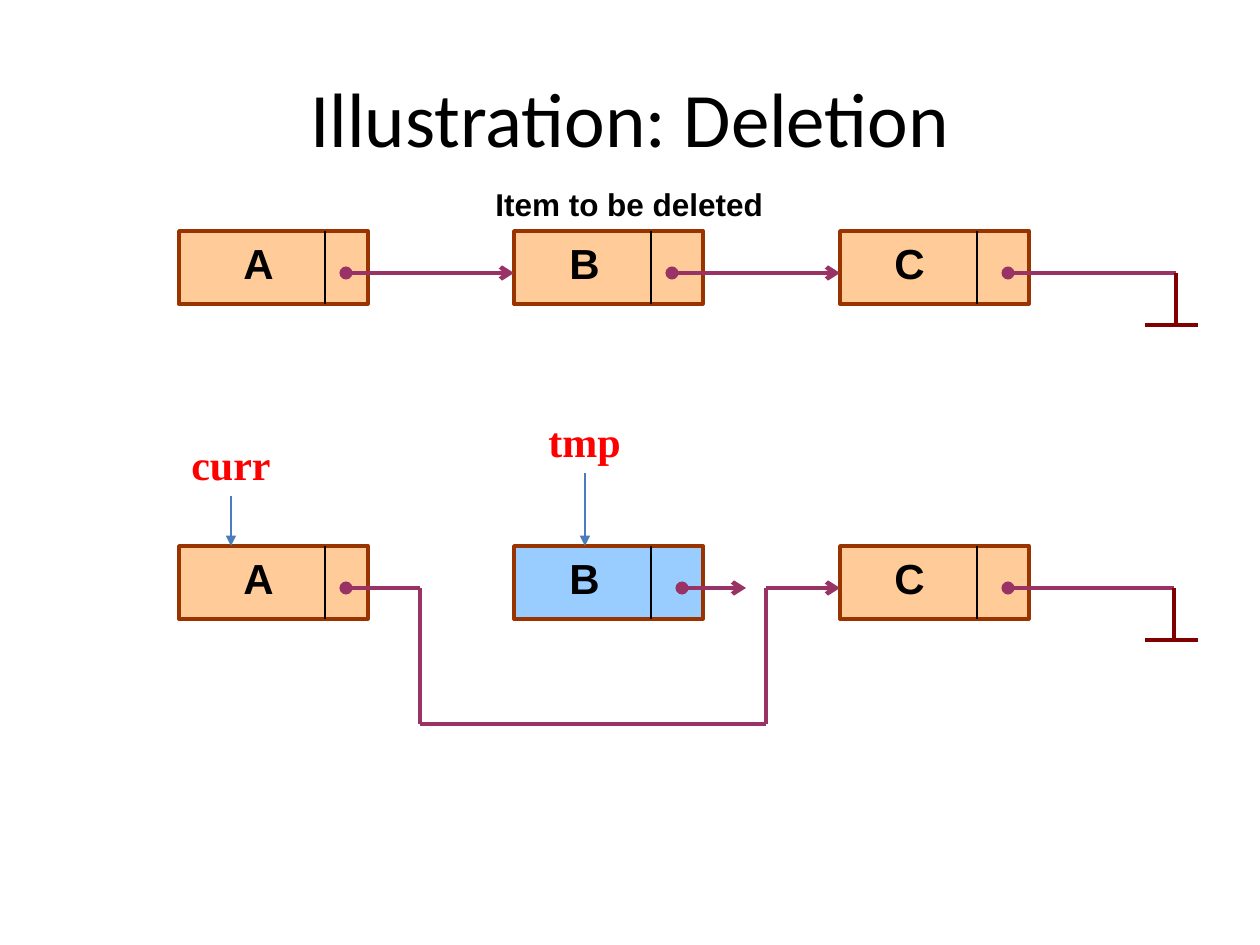
"""Build a slide that shows a node being deleted from a linked list."""
from lxml import etree
from pptx import Presentation
from pptx.dml.color import RGBColor
from pptx.enum.shapes import MSO_CONNECTOR, MSO_SHAPE
from pptx.enum.text import MSO_ANCHOR, PP_ALIGN
from pptx.oxml.ns import qn
from pptx.util import Pt

RECT = MSO_SHAPE.RECTANGLE
STRAIGHT = MSO_CONNECTOR.STRAIGHT
CENTER = PP_ALIGN.CENTER
MIDDLE = MSO_ANCHOR.MIDDLE
PX = 914400 / 126
COLORS = {
    "black": "000000", "red": "FF0000", "peach": "FFCC99", "sky": "99CCFF",
    "brown": "993300", "plum": "993366", "maroon": "800000", "blue": "4A7EBB",
}

deck = Presentation()
deck.slide_width, deck.slide_height = int(1260 * PX), int(945 * PX)
slide = deck.slides.add_slide(deck.slide_layouts[5])
shapes = slide.shapes


def write(text, x, y, w, h, size=24, font="Arial", color="black", bold=True, wrap=True, box=None, align=None):
    box = box or shapes.add_textbox(0, 0, 0, 0)
    box.left, box.top, box.width, box.height = [int(v * PX) for v in (x, y, w, h)]
    frame = box.text_frame
    frame.word_wrap = wrap
    frame.text = text
    para = frame.paragraphs[0]
    para.alignment = align
    face = para.runs[0].font
    face.size, face.name, face.bold = Pt(size), font, bold
    face.color.rgb = RGBColor.from_string(COLORS[color])
    return frame


def draw(x1, y1, x2, y2, color="plum", width=2.5, head=None, tail=None):
    line = shapes.add_connector(STRAIGHT, *[int(v * PX) for v in (x1, y1, x2, y2)])
    line.line.width = Pt(width)
    line.line.color.rgb = RGBColor.from_string(COLORS[color])
    for tag, kind in (("a:headEnd", head), ("a:tailEnd", tail)):
        if kind:
            etree.SubElement(line.line._ln, qn(tag), type=kind)
    etree.SubElement(line._element.spPr, qn("a:effectLst"))


title = write("Illustration: Deletion", 63, 38, 1134, 157, size=44, font="Calibri",
              bold=False, box=shapes.title, align=CENTER)
title.vertical_anchor = MIDDLE

NODES = [("A", 179, 325, 231), ("B", 514, 651, 557), ("C", 840, 977, 882)]
ROWS = [(231, "peach", 1176), (546, "sky", 1174)]
for top, fill, end in ROWS:
    for name, left, bar, label in NODES:
        node = shapes.add_shape(RECT, *[int(v * PX) for v in (left, top, 189, 73)])
        node.shadow.inherit = False
        node.fill.solid()
        node.fill.fore_color.rgb = RGBColor.from_string(COLORS[fill if name == "B" else "peach"])
        node.line.width = Pt(2)
        node.line.color.rgb = RGBColor.from_string(COLORS["brown"])
        draw(bar, top, bar, top + 73, color="black", width=0.75)
        write(name, label, top, 84, 63)
    mid = top + 42
    draw(1008, mid, end, mid, head="oval")
    draw(end, mid, end, top + 94, color="maroon")
    draw(1145, top + 94, 1198, top + 94, color="maroon")

draw(346, 273, 514, 273, head="oval", tail="arrow")
draw(672, 273, 840, 273, head="oval", tail="arrow")
draw(682, 588, 746, 588, head="oval", tail="arrow")

BYPASS = [(346, 588), (420, 588), (420, 724), (766, 724), (766, 588), (840, 588)]
last = len(BYPASS) - 2
for i, (start, stop) in enumerate(zip(BYPASS, BYPASS[1:])):
    draw(*start, *stop, head=None if i else "oval", tail="arrow" if i == last else None)

write("Item to be deleted", 483, 179, 346, 50, size=18)
for name, left, top, mid in [("curr", 179, 432, 231), ("tmp", 536, 409, 585)]:
    write(name, left, top, 106, 63, font="Times New Roman", color="red", wrap=False)
    draw(mid, top + 64, mid, 546, color="blue", width=0.75, tail="triangle")

deck.save("out.pptx")
